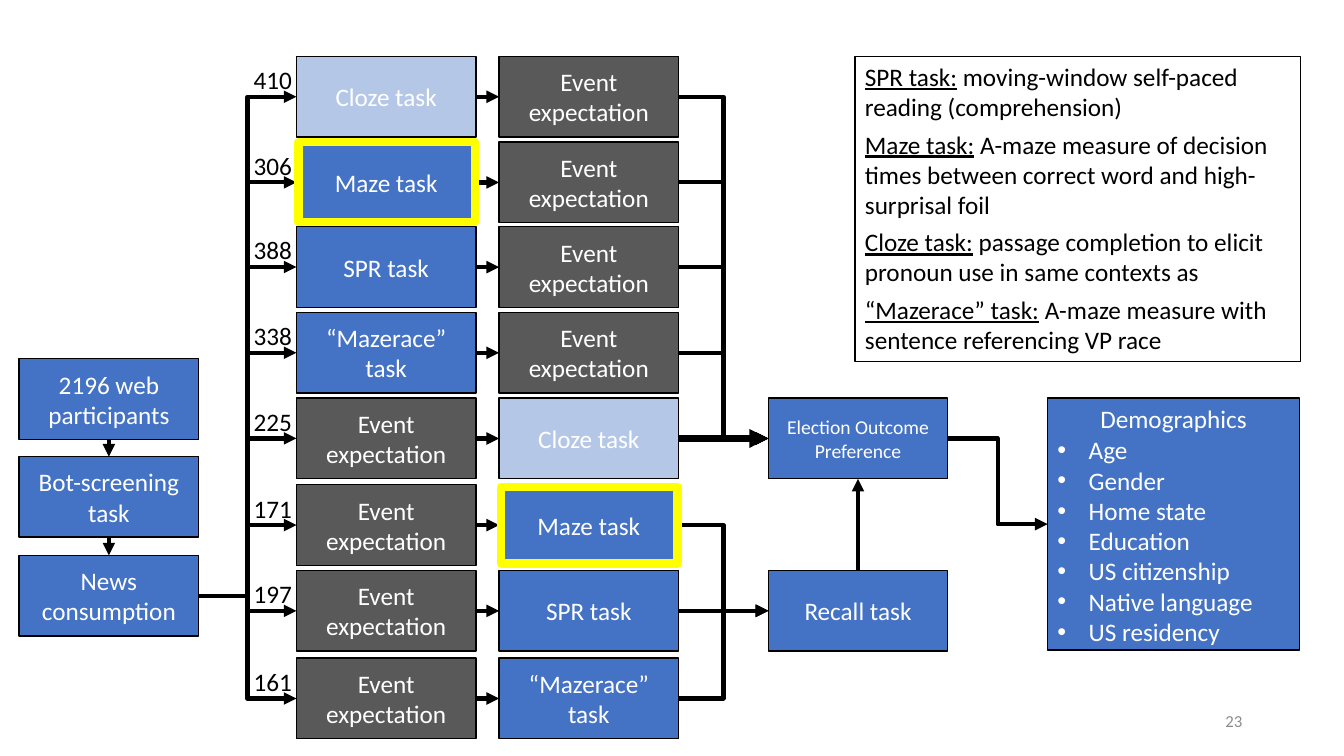
"""Build the slide that maps the participant flow through the study tasks."""
from dataclasses import dataclass

from lxml import etree
from pptx import Presentation
from pptx.dml.color import RGBColor
from pptx.enum import shapes, text
from pptx.oxml import ns
from pptx.util import Inches, Pt

EVENT = "Event\nexpectation"
MAZERACE = "“Mazerace”\ntask"
ROWS = [
    (0.56, "410", "Cloze task", EVENT),
    (1.41, "306", "Maze task", EVENT),
    (2.25, "388", "SPR task", EVENT),
    (3.10, "338", MAZERACE, EVENT),
    (3.95, "225", EVENT, "Cloze task"),
    (4.81, "171", EVENT, "Maze task"),
    (5.66, "197", EVENT, "SPR task"),
    (6.53, "161", EVENT, MAZERACE),
]
INTAKE = [
    (3.56, "2196 web participants"),
    (4.53, "Bot-screening task"),
    (5.51, "News consumption"),
]
PREFERENCE = "Election Outcome\nPreference"
RECALL = "Recall task"
DEMOGRAPHICS = ["Age", "Gender", "Home state", "Education", "US citizenship",
                "Native language", "US residency"]
DEFINITIONS = [
    ("SPR task:", " moving-window self-paced reading (comprehension)"),
    ("Maze task:", " A-maze measure of decision times between correct word and high-surprisal foil"),
    ("Cloze task:", " passage completion to elicit pronoun use in same contexts as"),
    ("“Mazerace” task:", " A-maze measure with sentence referencing VP race"),
]
HIGHLIGHTS = [(2.96, 1.41, 1.75, 0.79), (4.97, 4.83, 1.75, 0.76)]
PAGE_NUMBER = "23"


@dataclass(frozen=True)
class Theme:
    """Colours, font and type sizes."""
    font: str = "Calibri"
    blue: str = "4472C4"
    pale: str = "B4C7E7"
    grey: str = "595959"
    yellow: str = "FFFF00"
    muted: str = "8C8C8C"
    black: str = "000000"
    white: str = "FFFFFF"
    body: int = 18
    small: int = 14
    footer: int = 12


THEME = Theme()
FILLS = {EVENT: THEME.grey, "Cloze task": THEME.pale}
BOX_WIDTH, BOX_HEIGHT = 1.78, 0.8
INTAKE_LEFT, FIRST_LEFT, SECOND_LEFT, OUTCOME_LEFT = 0.19, 2.94, 4.95, 7.62
PREFERENCE_TOP, RECALL_TOP = 3.95, 5.66
DEMOGRAPHICS_AREA = (10.39, 3.95, 2.5, 2.5)


def middle(top):
    return top + BOX_HEIGHT / 2


def add_span(para, words, color, size=THEME.body, underline=None):
    span = para.add_run()
    span.text = words
    span.font.name = THEME.font
    span.font.size = Pt(size)
    span.font.color.rgb = RGBColor.from_string(color)
    span.font.underline = underline


def next_para(frame, index):
    return frame.add_paragraph() if index else frame.paragraphs[0]


def add_rectangle(page, area, fill=None, line=THEME.black, weight=1.0):
    box = page.shapes.add_shape(shapes.MSO_SHAPE.RECTANGLE, *map(Inches, area))
    box.shadow.inherit = False
    if fill:
        box.fill.solid()
        box.fill.fore_color.rgb = RGBColor.from_string(fill)
    else:
        box.fill.background()
    box.line.color.rgb = RGBColor.from_string(line)
    box.line.width = Pt(weight)
    box.text_frame.word_wrap = True
    return box


def add_step(page, left, top, label, size=THEME.body):
    fill = FILLS.get(label, THEME.blue)
    frame = add_rectangle(page, (left, top, BOX_WIDTH, BOX_HEIGHT), fill).text_frame
    frame.vertical_anchor = text.MSO_ANCHOR.MIDDLE
    for index, words in enumerate(label.split("\n")):
        para = next_para(frame, index)
        para.alignment = text.PP_ALIGN.CENTER
        add_span(para, words, THEME.white, size)


def add_arrow(page, start, end, weight=3):
    straight = start[0] == end[0] or abs(start[1] - end[1]) < 0.01
    kind = shapes.MSO_CONNECTOR.STRAIGHT if straight else shapes.MSO_CONNECTOR.ELBOW
    arrow = page.shapes.add_connector(kind, *map(Inches, (*start, *end)))
    arrow.line.color.rgb = RGBColor.from_string(THEME.black)
    arrow.line.width = Pt(weight)
    etree.SubElement(arrow.line._get_or_add_ln(), ns.qn("a:tailEnd"), type="triangle")
    etree.SubElement(arrow._element.spPr, ns.qn("a:effectLst"))


def add_label(page, area, words, color, size, align, anchor, wrap):
    frame = page.shapes.add_textbox(*map(Inches, area)).text_frame
    frame.word_wrap = wrap
    frame.vertical_anchor = anchor
    frame.paragraphs[0].alignment = align
    add_span(frame.paragraphs[0], words, color, size)


def add_demographics(page):
    frame = add_rectangle(page, DEMOGRAPHICS_AREA, THEME.blue).text_frame
    frame.vertical_anchor = text.MSO_ANCHOR.TOP
    heading = frame.paragraphs[0]
    heading.alignment = text.PP_ALIGN.CENTER
    add_span(heading, "Demographics", THEME.white)
    for index, words in enumerate(DEMOGRAPHICS):
        para = frame.add_paragraph()
        para.alignment = text.PP_ALIGN.LEFT
        para.space_before = Pt(0 if index else 1)
        properties = para._p.get_or_add_pPr()
        properties.set("marL", str(Inches(0.31)))
        properties.set("indent", str(-Inches(0.31)))
        etree.SubElement(properties, ns.qn("a:buFont"), typeface="Arial")
        etree.SubElement(properties, ns.qn("a:buChar"), char="•")
        add_span(para, words, THEME.white)


def add_definitions(page):
    frame = add_rectangle(page, (8.48, 0.56, 4.42, 3.03), weight=0.75).text_frame
    frame.vertical_anchor = text.MSO_ANCHOR.TOP
    for index, (term, meaning) in enumerate(DEFINITIONS):
        para = next_para(frame, index)
        para.alignment = text.PP_ALIGN.LEFT
        if index:
            para.space_before = Pt(5)
        add_span(para, term, THEME.black, underline=True)
        add_span(para, meaning, THEME.black)


def add_boxes(page):
    for top, label in INTAKE:
        add_step(page, INTAKE_LEFT, top, label)
    for top, _, first, second in ROWS:
        add_step(page, FIRST_LEFT, top, first)
        add_step(page, SECOND_LEFT, top, second)
    add_step(page, OUTCOME_LEFT, PREFERENCE_TOP, PREFERENCE, THEME.small)
    add_step(page, OUTCOME_LEFT, RECALL_TOP, RECALL)
    add_demographics(page)
    add_definitions(page)


def add_arrows(page):
    center = INTAKE_LEFT + BOX_WIDTH / 2
    for (upper, _), (lower, _) in zip(INTAKE, INTAKE[1:]):
        add_arrow(page, (center, upper + BOX_HEIGHT), (center, lower))
    source = (INTAKE_LEFT + BOX_WIDTH, middle(INTAKE[-1][0]))
    for top, *_ in ROWS:
        level = middle(top)
        target = PREFERENCE_TOP if top <= PREFERENCE_TOP else RECALL_TOP
        add_arrow(page, source, (FIRST_LEFT, level))
        add_arrow(page, (FIRST_LEFT + BOX_WIDTH, level), (SECOND_LEFT, level))
        add_arrow(page, (SECOND_LEFT + BOX_WIDTH, level), (OUTCOME_LEFT, middle(target)),
                  4.5 if top == PREFERENCE_TOP else 3)
    center = OUTCOME_LEFT + BOX_WIDTH / 2
    add_arrow(page, (center, RECALL_TOP), (center, PREFERENCE_TOP + BOX_HEIGHT))
    left, top, _, height = DEMOGRAPHICS_AREA
    add_arrow(page, (OUTCOME_LEFT + BOX_WIDTH, middle(PREFERENCE_TOP)), (left, top + height / 2))


def main():
    deck = Presentation()
    deck.slide_width, deck.slide_height = Inches(13.33), Inches(7.5)
    page = deck.slides.add_slide(deck.slide_layouts[6])
    add_boxes(page)
    add_arrows(page)
    for top, count, *_ in ROWS:
        add_label(page, (2.41, top + 0.03, 0.59, 0.4), count, THEME.black, THEME.body,
                  text.PP_ALIGN.CENTER, text.MSO_ANCHOR.TOP, False)
    for area in HIGHLIGHTS:
        add_rectangle(page, area, line=THEME.yellow, weight=6)
    add_label(page, (9.42, 6.95, 3, 0.4), PAGE_NUMBER, THEME.muted, THEME.footer,
              text.PP_ALIGN.RIGHT, text.MSO_ANCHOR.MIDDLE, True)
    deck.save("out.pptx")


if __name__ == "__main__":
    main()
